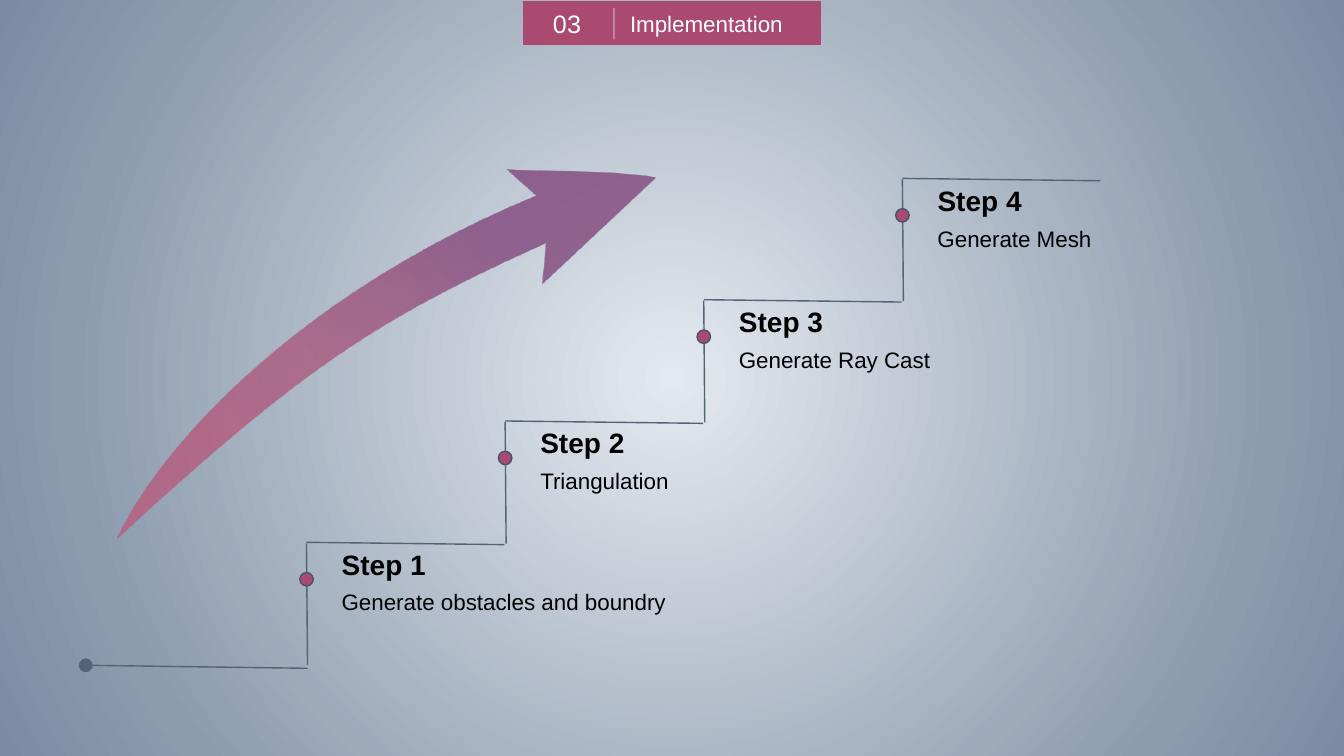
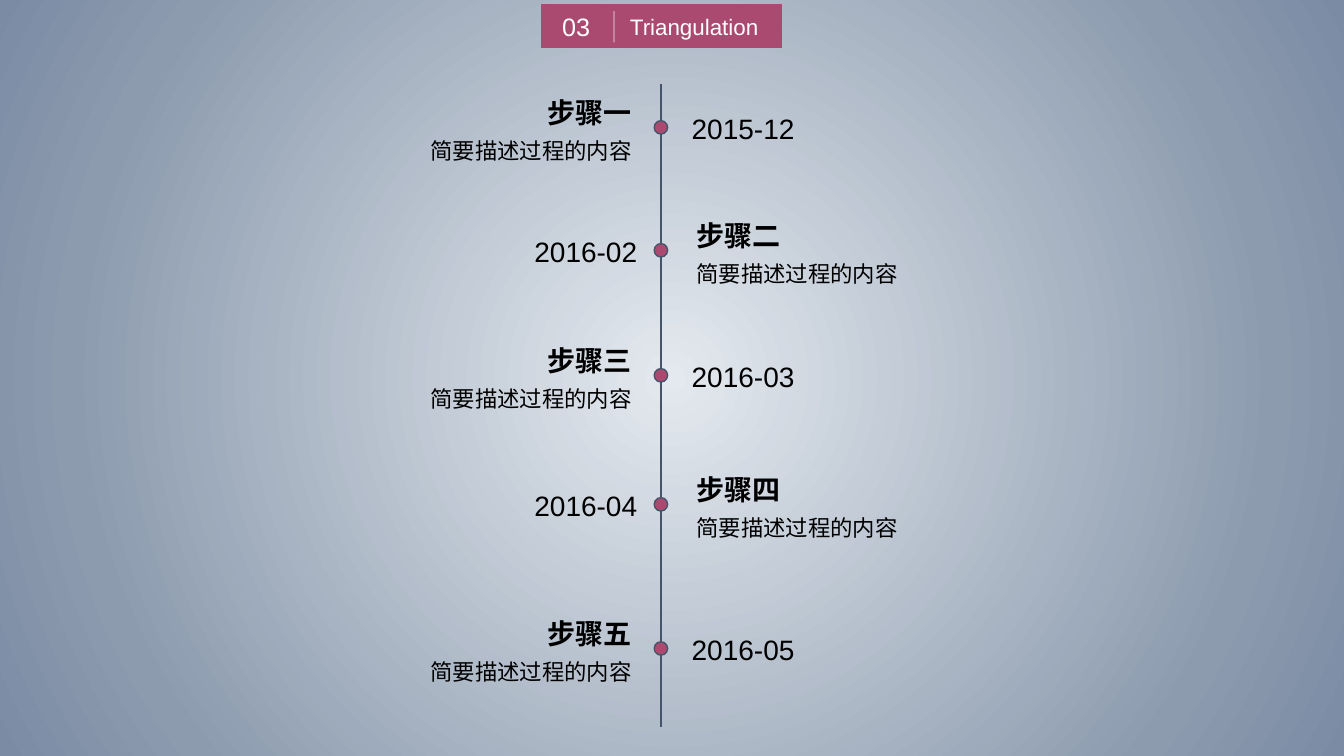
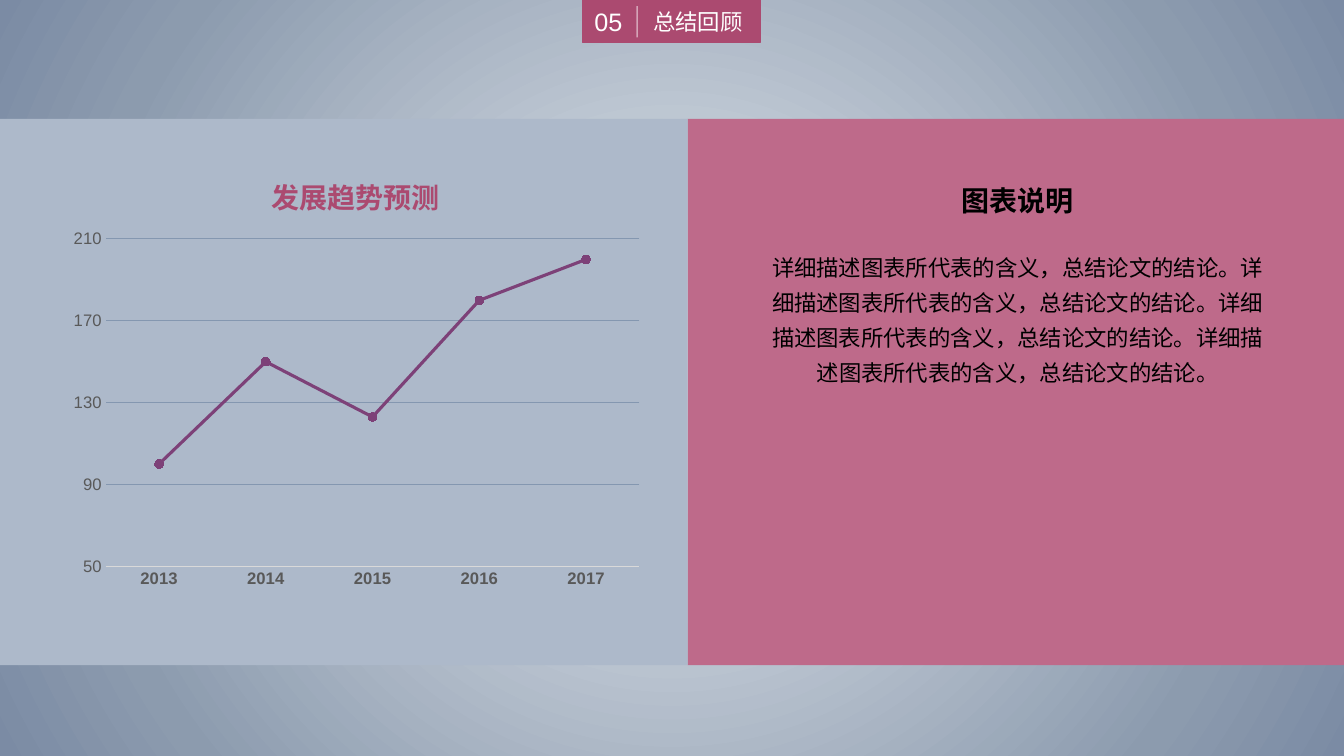
"""Build three slides: implementation staircase, triangulation timeline, trend summary."""
import math

import pptx
import pptx.chart.data
import pptx.dml.color
import pptx.enum.chart
import pptx.enum.shapes
import pptx.enum.text
import pptx.oxml
import pptx.oxml.ns
import pptx.util

COLORS = {
    "accent": "AB4A70", "ink": "000000", "paper": "FFFFFF", "slate": "44546A",
    "stair": "536275", "rose": "BE6A8A", "mist": "ADB9CA", "plum": "7D4178",
    "pink": "C54F71", "grid": "8497B0", "axis": "D9D9D9", "tick": "595959",
    "glow": "E4E9EF", "haze": "8C9BAE", "dusk": "7B8BA4",
}
RGB = {name: pptx.dml.color.RGBColor.from_string(code) for name, code in COLORS.items()}
FONT = "Arial"
COLUMNS, ROWS = 80, 45
SHAPES = pptx.enum.shapes.MSO_SHAPE
ALIGN = pptx.enum.text.PP_ALIGN
ANCHOR = pptx.enum.text.MSO_ANCHOR

deck = pptx.Presentation()
deck.slide_width = pptx.util.Inches(13.33)
deck.slide_height = pptx.util.Inches(7.5)
CELL = deck.slide_height / ROWS


def write(slide, text, box, size=16, bold=False, color="ink", align=ALIGN.LEFT,
          anchor=ANCHOR.TOP, spacing=None, wrap=False):
    """Place one formatted paragraph; the box is in grid cells."""
    frame = slide.shapes.add_textbox(*[round(v * CELL) for v in box]).text_frame
    frame.word_wrap = wrap
    frame.auto_size = pptx.enum.text.MSO_AUTO_SIZE.SHAPE_TO_FIT_TEXT
    frame.vertical_anchor = anchor
    paragraph = frame.paragraphs[0]
    paragraph.alignment = align
    if spacing:
        paragraph.line_spacing = spacing
    run = paragraph.add_run()
    run.text = text
    run.font.name = FONT
    run.font.size = pptx.util.Pt(size)
    run.font.bold = bold
    run.font.color.rgb = RGB[color]


def block(slide, preset, box, fill, edge=None):
    """Place one flat filled shape; the box is in grid cells."""
    shape = slide.shapes.add_shape(preset, *[round(v * CELL) for v in box])
    shape.shadow.inherit = False
    shape.fill.solid()
    shape.fill.fore_color.rgb = RGB[fill]
    if edge:
        shape.line.color.rgb = RGB[edge]
        shape.line.width = pptx.util.Pt(1)
    else:
        shape.line.fill.background()


stairs, timeline, summary = [deck.slides.add_slide(deck.slide_layouts[6]) for _ in range(3)]
strokes = []
dots = []

badges = [
    (stairs, "03", "Implementation", 31.14, 0.12, 17.7, 36.54),
    (timeline, "03", "Triangulation", 32.22, 0.3, 14.28, 36.54),
    (summary, "05", "总结回顾", 34.68, 0, 10.56, 37.92),
]
for slide, number, title, left, top, width, divider in badges:
    block(slide, SHAPES.RECTANGLE, (left, top, width, 2.52), "accent", "accent")
    write(slide, title, (divider + 0.36, top + 0.18, left + width - divider - 0.36, 2.22),
          color="paper", anchor=ANCHOR.MIDDLE, wrap=True)
    write(slide, number, (left, top + 0.06, divider - left - 0.2, 2.4), size=18,
          color="paper", align=ALIGN.CENTER, anchor=ANCHOR.MIDDLE, wrap=True)
    strokes.append((slide, (divider, top + 0.36, divider, top + 2.22), "paper",
                    "a:solidFill/a:srgbClr", '<a:alpha {} val="49000"/>'))

strokes.append((stairs, (5.1, 39.6, 18.3, 39.78), "stair", ".",
                '<a:headEnd {} type="oval" w="lg" len="lg"/>'))
steps = [("Generate obstacles and boundry", 20.58), ("Triangulation", 8.88),
         ("Generate Ray Cast", 12.6), ("Generate Mesh", 10.38)]
for i, (task, width) in enumerate(steps):
    x, y = 18.24 + 11.82 * i, 32.28 - 7.22 * i
    strokes.append((stairs, (x, y + 0.06, x + 0.06, y + 7.3), "stair", None, None))
    strokes.append((stairs, (x, y, x + 11.78, y + 0.14), "stair", None, None))
    dots.append((stairs, x, y + 2.2))
    write(stairs, f"Step {i + 1}", (x + 1.5, y, 7, 2.64), size=20, bold=True)
    write(stairs, task, (x + 1.5, y + 1.98, width, 2.7), spacing=1.3)

spine = 39.33
strokes.append((timeline, (spine, 4.98, spine, 43.26), "slate", None, None))
milestones = [("步骤一", "2015-12", 5.4), ("步骤二", "2016-02", 12.72), ("步骤三", "2016-03", 20.16),
              ("步骤四", "2016-04", 27.84), ("步骤五", "2016-05", 36.42)]
for i, (stage, date, top) in enumerate(milestones):
    on_left = i % 2 == 0
    side = ALIGN.RIGHT if on_left else ALIGN.LEFT
    for text, width, drop, style in (
            (stage, 6.24, 0, {"size": 20, "bold": True}),
            ("简要描述过程的内容", 13.32, 1.98, {"spacing": 1.3})):
        left = spine - 1.15 - width if on_left else spine + 1.53
        write(timeline, text, (left, top + drop, width, 2.67), align=side, **style)
    write(timeline, date, (40.02 if on_left else 30.66, top + 0.96, 7.86, 2.64),
          size=20, align=ALIGN.RIGHT)
    dots.append((timeline, spine, top + 2.18))

for slide, ends, color, target, extra in strokes:
    stroke = slide.shapes.add_connector(pptx.enum.shapes.MSO_CONNECTOR.STRAIGHT,
                                        *[round(v * CELL) for v in ends])
    stroke.line.color.rgb = RGB[color]
    stroke.line.width = pptx.util.Pt(1)
    if extra:
        outline = stroke.element.spPr.xpath("a:ln")[0]
        outline.xpath(target)[0].append(
            pptx.oxml.parse_xml(extra.format(pptx.oxml.ns.nsdecls("a"))))
    stroke.element.spPr.append(
        pptx.oxml.parse_xml(f'<a:effectLst {pptx.oxml.ns.nsdecls("a")}/>'))

for slide, x, y in dots:
    block(slide, SHAPES.OVAL, (x - 0.4, y - 0.4, 0.8, 0.8), "accent", "slate")

pen = (6.96, 32.04)
arrow_edges = [
    [(9.6, 26.34), (18, 17.34), (31.86, 11.64)],
    [(30.12, 10.08)],
    [(33.06, 10.26), (36, 10.08), (39, 10.56)],
    [(32.22, 16.92)],
    [(32.46, 14.46)],
    [(22.2, 19.08), (17.88, 22.02), (6.96, 32.04)],
]
arrow_path = stairs.shapes.build_freeform(round(pen[0] * CELL), round(pen[1] * CELL))
for edge in arrow_edges:
    controls = [pen] + edge
    degree = len(edge)
    samples = 24 if degree > 1 else 1
    points = []
    for n in range(1, samples + 1):
        t = n / samples
        weights = [math.comb(degree, k) * t**k * (1 - t)**(degree - k) for k in range(degree + 1)]
        points.append([round(CELL * sum(w * c[axis] for w, c in zip(weights, controls)))
                       for axis in (0, 1)])
    arrow_path.add_line_segments(points, close=edge is arrow_edges[-1])
    pen = edge[-1]
arrow = arrow_path.convert_to_shape()
arrow.shadow.inherit = False
arrow.line.fill.background()
arrow.fill.solid()

backdrop = deck.slide_master.background
backdrop.fill.solid()
gradients = [
    (deck.slide_master.element.xpath(".//p:bgPr")[0],
     [(0, "glow", 100), (78, "haze", 100), (100, "dusk", 100)], (50, 50, 50, 50)),
    (arrow.element.spPr,
     [(25, "plum", 77), (60, "accent", 68), (100, "pink", 68)], (100, 0, 0, 100)),
]
for holder, stops, focus in gradients:
    stop_xml = "".join(
        f'<a:gs pos="{at * 1000}"><a:srgbClr val="{COLORS[color]}">'
        f'<a:alpha val="{opacity * 1000}"/></a:srgbClr></a:gs>' for at, color, opacity in stops)
    sides = " ".join(f'{side}="{share * 1000}"' for side, share in zip("ltrb", focus))
    gradient = pptx.oxml.parse_xml(
        f'<a:gradFill {pptx.oxml.ns.nsdecls("a")} rotWithShape="1"><a:gsLst>{stop_xml}</a:gsLst>'
        f'<a:path path="circle"><a:fillToRect {sides}/></a:path></a:gradFill>')
    holder.replace(holder.xpath("a:solidFill")[0], gradient)

fold = 40.92
block(summary, SHAPES.RECTANGLE, (fold, 7.08, COLUMNS - fold, 32.52), "rose")
block(summary, SHAPES.RECTANGLE, (0, 7.08, fold, 32.52), "mist")

trend = pptx.chart.data.CategoryChartData()
trend.categories = ["2013", "2014", "2015", "2016", "2017"]
trend.add_series("Series 1", [100, 150, 123, 180, 200])
chart = summary.shapes.add_chart(
    pptx.enum.chart.XL_CHART_TYPE.LINE_MARKERS,
    *[round(v * CELL) for v in (3.66, 12.54, 35.1, 23.4)], trend).chart
chart.has_title = False
chart.has_legend = False
chart.font.name = FONT
chart.font.size = pptx.util.Pt(10)
chart.font.color.rgb = RGB["ink"]
chart.plots[0].vary_by_categories = False

years, values = chart.category_axis, chart.value_axis
for axis in (years, values):
    axis.major_tick_mark = pptx.enum.chart.XL_TICK_MARK.NONE
    axis.minor_tick_mark = pptx.enum.chart.XL_TICK_MARK.NONE
    axis.tick_labels.font.name = FONT
    axis.tick_labels.font.size = pptx.util.Pt(11.9)
    axis.tick_labels.font.color.rgb = RGB["tick"]
years.tick_labels.font.bold = True
values.minimum_scale, values.maximum_scale, values.major_unit = 50, 220, 40
values.has_major_gridlines = True
values.format.line.fill.background()
for rule, color in ((years.format.line, "axis"), (values.major_gridlines.format.line, "grid")):
    rule.color.rgb = RGB[color]
    rule.width = pptx.util.Pt(0.75)

growth = chart.plots[0].series[0]
growth.smooth = False
growth.format.line.color.rgb = RGB["plum"]
growth.format.line.width = pptx.util.Pt(2.25)
growth.marker.style = pptx.enum.chart.XL_MARKER_STYLE.CIRCLE
growth.marker.size = 6
growth.marker.format.fill.solid()
growth.marker.format.fill.fore_color.rgb = RGB["accent"]
growth.marker.format.line.color.rgb = RGB["plum"]

plot_area = chart.element.xpath(".//c:plotArea")[0]
for automatic in plot_area.xpath("c:layout"):
    plot_area.remove(automatic)
shares = "".join(f'<c:{side} val="{share}"/>' for side, share in
                 (("x", 0.075), ("y", 0.02), ("w", 0.905), ("h", 0.885)))
plot_area.insert(0, pptx.oxml.parse_xml(
    f'<c:layout {pptx.oxml.ns.nsdecls("c")}><c:manualLayout><c:layoutTarget val="inner"/>'
    f'<c:xMode val="edge"/><c:yMode val="edge"/>{shares}</c:manualLayout></c:layout>'))

write(summary, "发展趋势预测", (15.54, 10.44, 11.28, 2.64), size=20, bold=True, color="accent")
write(summary, "图表说明", (56.58, 10.62, 7.92, 2.64), size=20, bold=True, align=ALIGN.CENTER)
write(summary, "详细描述图表所代表的含义，总结论文的结论。" * 4, (45.3, 14.34, 30.54, 9),
      align=ALIGN.CENTER, spacing=1.3, wrap=True)

deck.save("out.pptx")
